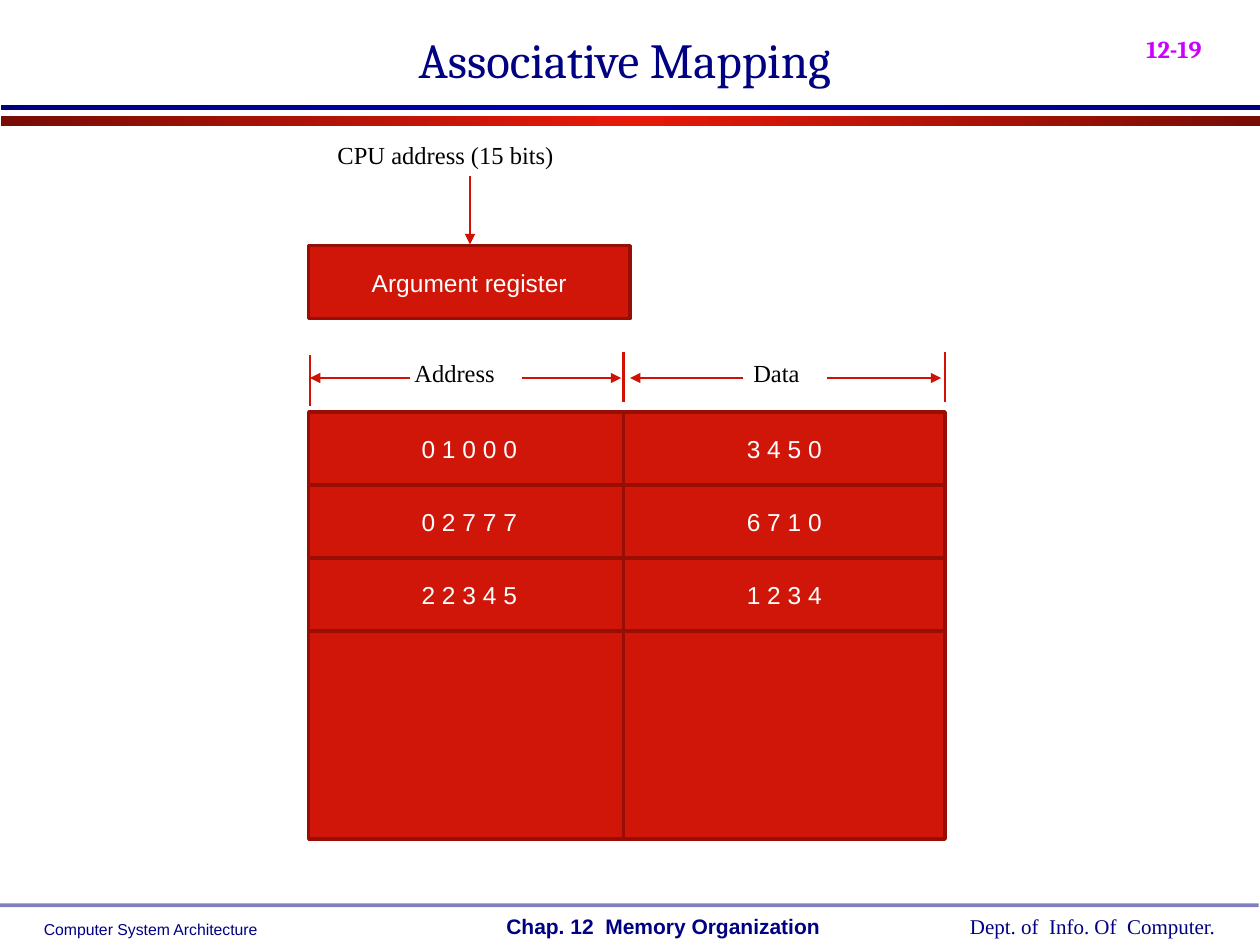
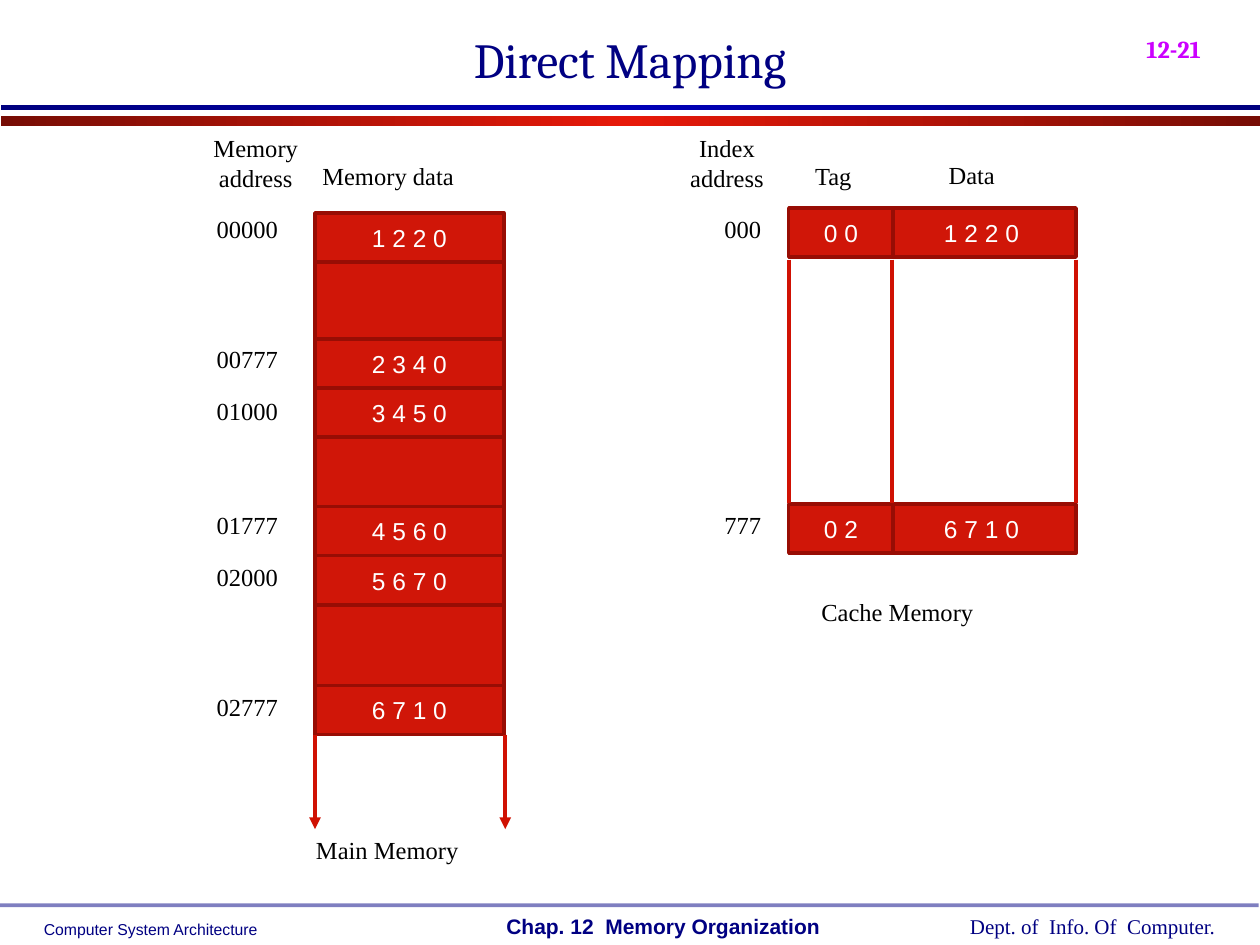
"""Build two lecture slides on associative and direct cache mapping."""
from copy import deepcopy

from lxml.etree import SubElement
from pptx import Presentation
from pptx.dml.color import RGBColor
from pptx.enum.shapes import MSO_CONNECTOR as Connector, MSO_SHAPE as Shape
from pptx.enum.text import MSO_ANCHOR as Anchor, MSO_AUTO_SIZE as AutoSize, PP_ALIGN as Align
from pptx.oxml.ns import qn
from pptx.util import Emu, Pt

EMU_PER_PX = 9144
NAVY, CELL_FILL, CELL_EDGE, ARROW_RED = "000082", "D01608", "980D04", "D01103"
RED_BAND = ("770D05", "E71909", "770D05")
BLUE_BAND = ("00007F", "0000B6", "00007F")
SANS, SERIF, TITLE_FONT = "Arial", "Times New Roman", "Cambria"


def px(*lengths):
    return [Emu(length * EMU_PER_PX) for length in lengths]


def rgb(hex_color):
    return RGBColor.from_string(hex_color)


def write(frame, text, size=14, font=SERIF, color="000000", bold=False,
          align=Align.LEFT, anchor=Anchor.TOP, wrap=True, fit=AutoSize.NONE, baseline=0):
    frame.word_wrap = wrap
    frame.auto_size = fit
    frame.vertical_anchor = anchor
    para = frame.paragraphs[0]
    para.alignment = align
    span = para.add_run()
    span.text = text
    span.font.size = Pt(size)
    span.font.name = font
    span.font.bold = bold
    span.font.color.rgb = rgb(color)
    if baseline:
        span._r.get_or_add_rPr().set("baseline", str(baseline * 1000))


class Lecture:
    def __init__(self):
        self.deck = Presentation()
        self.deck.slide_width, self.deck.slide_height = px(1000, 750)
        self.page = None

    def start_page(self, title, number):
        self.page = self.deck.slides.add_slide(self.deck.slide_layouts[5])
        heading = self.page.shapes.title
        heading.left, heading.top, heading.width, heading.height = px(75, 0, 850, 75)
        write(heading.text_frame, title, size=28, font=TITLE_FONT, color=NAVY,
              align=Align.CENTER, anchor=Anchor.BOTTOM)
        self.band(1, 92, 999, 8, RED_BAND)
        self.band(1, 83, 999, 4, BLUE_BAND)
        self.footer_rule()
        footer = {"color": NAVY, "wrap": False}
        self.label(25, 725, 190, 25, "Computer System Architecture", size=9, font=SANS, **footer)
        self.label(760, 720, 216, 30, "Dept. of  Info. Of  Computer.", size=12, **footer)
        self.label(392, 720, 269, 30, "Chap. 12  Memory Organization", size=12, font=SANS,
                   bold=True, **footer)
        self.label(900, 0, 108, 56, number, size=24, font=TITLE_FONT, color="CC00FF",
                   bold=True, baseline=-25)

    def rectangle(self, left, top, width, height):
        box = self.page.shapes.add_shape(Shape.RECTANGLE, *px(left, top, width, height))
        box.shadow.inherit = False
        return box

    def band(self, left, top, width, height, colors):
        box = self.rectangle(left, top, width, height)
        box.line.fill.background()
        box.fill.gradient()
        box.fill.gradient_angle = 0
        end = box.fill.gradient_stops[1]._gs
        end.addnext(deepcopy(end))
        for stop, color, position in zip(box.fill.gradient_stops, colors, (0, 0.5, 1)):
            stop.color.rgb = rgb(color)
            stop.position = position

    def footer_rule(self):
        box = self.rectangle(0, 717, 999, 3)
        box.line.fill.background()
        box.fill.solid()
        box.fill.fore_color.rgb = rgb(NAVY)
        color = box._element.spPr.find(".//" + qn("a:srgbClr"))
        SubElement(color, qn("a:alpha"), val="50000")

    def cell(self, left, top, width, height, text=""):
        box = self.rectangle(left, top, width, height)
        box.fill.solid()
        box.fill.fore_color.rgb = rgb(CELL_FILL)
        box.line.color.rgb = rgb(CELL_EDGE)
        box.line.width = Pt(2)
        if text:
            write(box.text_frame, text, font=SANS, color="FFFFFF",
                  align=Align.CENTER, anchor=Anchor.MIDDLE)

    def label(self, left, top, width, height, text, **style):
        box = self.page.shapes.add_textbox(*px(left, top, width, height))
        write(box.text_frame, text, fit=AutoSize.SHAPE_TO_FIT_TEXT, **style)

    def line(self, x1, y1, x2, y2, weight=1.5, arrow=False):
        line = self.page.shapes.add_connector(Connector.STRAIGHT, *px(x1, y1, x2, y2))
        line.line.color.rgb = rgb(ARROW_RED)
        line.line.width = Pt(weight)
        if arrow:
            SubElement(line.line._get_or_add_ln(), qn("a:tailEnd"), type="triangle")
        SubElement(line._element.spPr, qn("a:effectLst"))


def associative_mapping(lecture):
    lecture.start_page("Associative Mapping ", "12-19")
    lecture.cell(245, 195, 255, 58, "Argument register")
    columns = (245, 495)
    words = (("0 1 0 0 0", "3 4 5 0"), ("0 2 7 7 7", "6 7 1 0"), ("2 2 3 4 5", "1 2 3 4"))
    for row, pair in enumerate(words):
        for left, word in zip(columns, pair):
            lecture.cell(left, 327 + 58 * row, 255, 58, word)
    for left in columns:
        lecture.cell(left, 501, 255, 165)
    lecture.line(373, 140, 373, 194, arrow=True)
    lecture.label(258, 106, 259, 34, "CPU address (15 bits)")
    lecture.label(319, 279, 110, 34, "Address")
    lecture.label(588, 279, 68, 34, "Data")
    for x, top in ((246, 282), (495, 279), (750, 279)):
        lecture.line(x, top, x, top + 40)
    for start, end in ((325, 246), (414, 493), (590, 500), (656, 747)):
        lecture.line(start, 300, end, 300, arrow=True)


def direct_mapping(lecture):
    lecture.start_page("Direct Mapping", "12-21")
    top = 169
    memory = ((39, "1 2 2 0", "00000", 165), (61, "", "", 0),
              (39, "2 3 4 0", "00777", 268), (39, "3 4 5 0", "01000", 309), (55, "", "", 0),
              (39, "4 5 6 0", "01777", 400), (39, "5 6 7 0", "02000", 441), (64, "", "", 0),
              (39, "6 7 1 0", "02777", 544))
    for height, word, address, label_top in memory:
        lecture.cell(250, top, 150, height, word)
        if address:
            lecture.label(162, label_top, 88, 34, address)
        top += height
    for x in (250, 401):
        lecture.line(x, top, x, 658, weight=2.25, arrow=True)
    lecture.label(246, 123, 166, 34, "Memory data")
    lecture.label(146, 101, 114, 57, "Memory address", align=Align.CENTER)
    lecture.label(241, 658, 177, 34, "Main Memory")

    for top, index, tag, word in ((165, "000", "0 0", "1 2 2 0"), (400, "777", "0 2", "6 7 1 0")):
        lecture.cell(704, top, 150, 39, word)
        lecture.cell(626, top, 83, 39, tag)
        lecture.label(565, top, 60, 34, index)
    for x in (626, 708, 854):
        lecture.line(x, 206, x, 399, weight=2.25)
    lecture.label(642, 469, 182, 34, "Cache Memory")
    lecture.label(637, 123, 59, 34, "Tag")
    lecture.label(743, 122, 72, 34, "Data")
    lecture.label(520, 101, 114, 57, "Index address", align=Align.CENTER)


def main():
    lecture = Lecture()
    associative_mapping(lecture)
    direct_mapping(lecture)
    lecture.deck.save("out.pptx")


if __name__ == "__main__":
    main()
